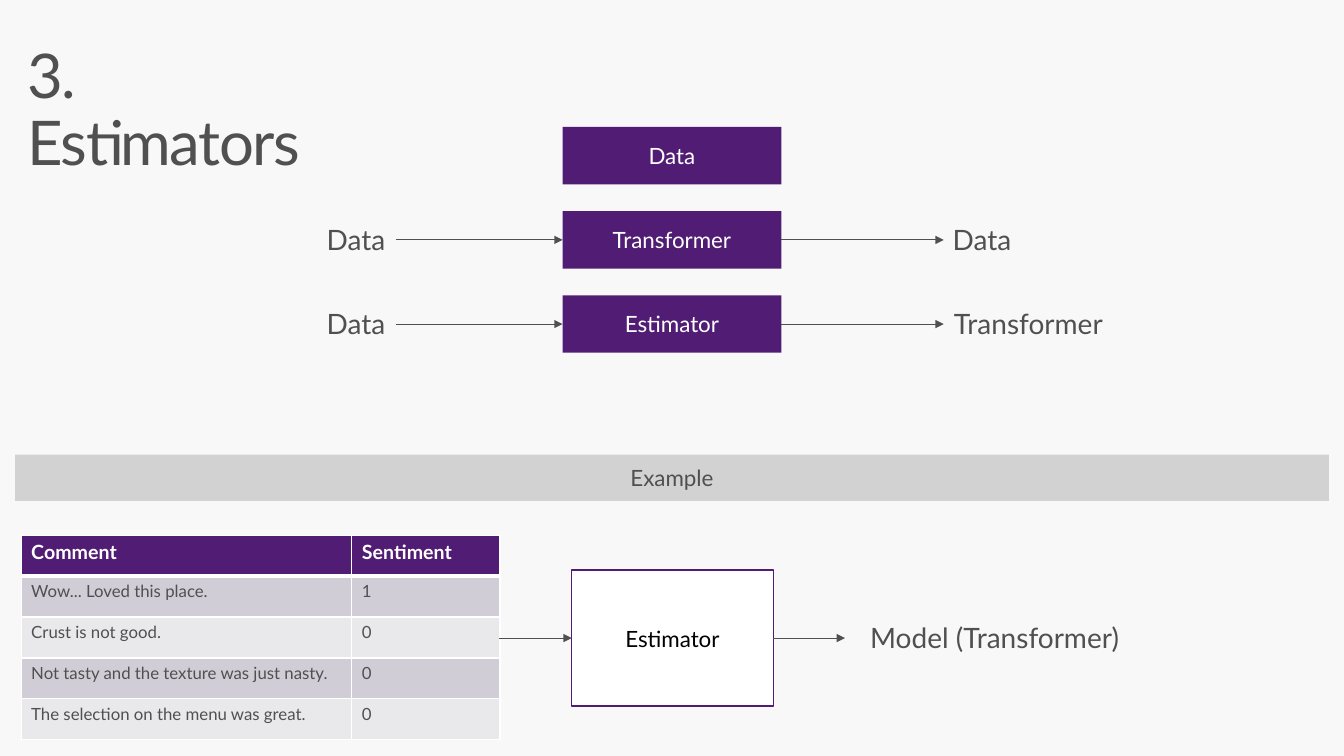
from dataclasses import dataclass

from lxml import etree
from pptx import Presentation
from pptx.dml.color import RGBColor
from pptx.enum.shapes import MSO_CONNECTOR, MSO_SHAPE
from pptx.enum.text import MSO_ANCHOR, MSO_AUTO_SIZE, PP_ALIGN
from pptx.oxml.ns import qn
from pptx.util import Inches, Pt

RECTANGLE = MSO_SHAPE.RECTANGLE
STRAIGHT = MSO_CONNECTOR.STRAIGHT
LEFT, CENTER = PP_ALIGN.LEFT, PP_ALIGN.CENTER
TOP, MIDDLE = MSO_ANCHOR.TOP, MSO_ANCHOR.MIDDLE
LEFT_SIDE, RIGHT_SIDE = 1, 3
TITLE_ONLY = 5
LABEL_HEIGHT = 0.34


@dataclass(frozen=True)
class Theme:
    font: str = "Lato"
    background: str = "F8F8F8"
    ink: str = "505050"
    accent: str = "511C74"
    white: str = "FFFFFF"
    black: str = "000000"
    banner: str = "D2D2D2"
    bands: tuple = ("D0CDD6", "E9E8EB")
    title_size: int = 44
    label_size: int = 20
    box_size: int = 16
    header_size: int = 14
    cell_size: int = 12


THEME = Theme()


def color(value):
    return RGBColor.from_string(value)


def write(para, text, size, ink, bold=False):
    span = para.add_run()
    span.text = text
    span.font.name = THEME.font
    span.font.size = Pt(size)
    span.font.bold = bold
    span.font.color.rgb = color(ink)
    return span


def set_margins(frame, across, down):
    frame.margin_left = frame.margin_right = Inches(across)
    frame.margin_top = frame.margin_bottom = Inches(down)


def add_box(page, box, text, fill, ink, outline=None):
    shape = page.shapes.add_shape(RECTANGLE, *map(Inches, box))
    shape.shadow.inherit = False
    shape.fill.solid()
    shape.fill.fore_color.rgb = color(fill)
    if outline:
        shape.line.color.rgb = color(outline)
        shape.line.width = Pt(0.85)
    else:
        shape.line.fill.background()
    frame = shape.text_frame
    set_margins(frame, 0, 0.05)
    frame.vertical_anchor = MIDDLE
    para = frame.paragraphs[0]
    para.alignment = CENTER
    write(para, text, THEME.box_size, ink)
    return shape


def add_label(page, left, middle, width, text, alignment=LEFT):
    """Place a one-line label centred vertically on middle."""
    box = (left, middle - LABEL_HEIGHT / 2, width, LABEL_HEIGHT)
    label = page.shapes.add_textbox(*map(Inches, box))
    frame = label.text_frame
    frame.word_wrap = True
    frame.auto_size = MSO_AUTO_SIZE.SHAPE_TO_FIT_TEXT
    set_margins(frame, 0, 0)
    para = frame.paragraphs[0]
    para.alignment = alignment
    write(para, text, THEME.label_size, THEME.ink)
    return label


def add_arrow(page, start, end, middle, source=None, target=None):
    """Draw a level arrow, joined to the source and target shapes if given."""
    arrow = page.shapes.add_connector(
        STRAIGHT, Inches(start), Inches(middle), Inches(end), Inches(middle))
    if source is not None:
        arrow.begin_connect(source, RIGHT_SIDE)
    if target is not None:
        arrow.end_connect(target, LEFT_SIDE)
    arrow.line.color.rgb = color(THEME.ink)
    arrow.line.width = Pt(0.75)
    line = arrow.line._get_or_add_ln()
    etree.SubElement(line, qn("a:tailEnd"), type="triangle")
    etree.SubElement(arrow._element.spPr, qn("a:effectLst"))


def add_title(page, box, text):
    title = page.shapes.title
    title.left, title.top, title.width, title.height = map(Inches, box)
    frame = title.text_frame
    frame.word_wrap = True
    frame.auto_size = MSO_AUTO_SIZE.NONE
    frame.vertical_anchor = TOP
    set_margins(frame, 0.2, 0.16)
    para = frame.paragraphs[0]
    para.alignment = LEFT
    para.line_spacing = 0.9
    para.space_before = Pt(0)
    span = write(para, text, THEME.title_size, THEME.ink)
    span.font._element.set("spc", "-100")


def add_concepts(page, box, concepts):
    """Stack the concepts; each has a name, an input and a sized output."""
    left, top, width, height = box
    box_left, box_width, box_height = left + 2.34, 2.17, 0.57
    output_left = left + 6.12
    pitch = (height - box_height) / (len(concepts) - 1)
    for index, (name, source, output, output_width) in enumerate(concepts):
        box_top = top + index * pitch
        middle = box_top + box_height / 2
        step = add_box(page, (box_left, box_top, box_width, box_height),
                       name, THEME.accent, THEME.white)
        if source:
            given = add_label(page, left, middle, 0.69, source)
            result = add_label(page, output_left, middle, output_width, output, CENTER)
            add_arrow(page, left + 0.69, box_left, middle, given, step)
            add_arrow(page, box_left + box_width, output_left, middle, step, result)


def set_borders(cell, bottom):
    properties = cell._tc.get_or_add_tcPr()
    for side, width in (("L", 1), ("R", 1), ("T", 1), ("B", bottom)):
        line = etree.SubElement(properties, qn("a:ln" + side), w=str(Pt(width)))
        fill = etree.SubElement(line, qn("a:solidFill"))
        etree.SubElement(fill, qn("a:srgbClr"), val=THEME.white)


def add_comments(page, box, rows):
    left, top, width, height = box
    frame = page.shapes.add_table(len(rows), 2, *map(Inches, box))
    table = frame.table
    table.columns[0].width = Inches(3.28)
    table.columns[1].width = Inches(width - 3.28)
    for index, row in enumerate(rows):
        table.rows[index].height = Inches(height / len(rows))
        header = index == 0
        fill = THEME.accent if header else THEME.bands[(index - 1) % 2]
        size = THEME.header_size if header else THEME.cell_size
        ink = THEME.white if header else THEME.ink
        for column, text in enumerate(row):
            cell = table.cell(index, column)
            set_borders(cell, 3 if header else 1)
            cell.fill.solid()
            cell.fill.fore_color.rgb = color(fill)
            write(cell.text_frame.paragraphs[0], text, size, ink, header)


def add_example(page, box, rows):
    left, top, width, height = box
    middle = top + 1.82
    add_box(page, (left, top, width, 0.46), "Example", THEME.banner, THEME.ink)
    add_comments(page, (left + 0.06, top + 0.8, 4.75, height - 0.8), rows)
    estimator = add_box(page, (left + 5.52, middle - 0.675, 2, 1.35), "Estimator",
                        THEME.white, THEME.black, THEME.accent)
    add_arrow(page, left + 4.8, left + 5.52, middle, target=estimator)
    add_arrow(page, left + 7.52, left + 8.23, middle, source=estimator)
    add_label(page, left + 8.48, middle, 2.74, "Model (Transformer)")


def main():
    deck = Presentation()
    deck.slide_width, deck.slide_height = Inches(13.33), Inches(7.5)
    page = deck.slides.add_slide(deck.slide_layouts[TITLE_ONLY])
    page.background.fill.solid()
    page.background.fill.fore_color.rgb = color(THEME.background)
    add_title(page, (0.07, 0.29, 3.49, 1.5), "3. Estimators")
    add_concepts(page, (3.24, 1.26, 7.8, 2.24), [
        ("Data", None, None, None),
        ("Transformer", "Data", "Data", 0.76),
        ("Estimator", "Data", "Transformer", 1.68),
    ])
    add_example(page, (0.15, 4.51, 13.03, 2.83), [
        ("Comment", "Sentiment"),
        ("Wow... Loved this place.", "1"),
        ("Crust is not good.", "0"),
        ("Not tasty and the texture was just nasty.", "0"),
        ("The selection on the menu was great.", "0"),
    ])
    deck.save("out.pptx")


if __name__ == "__main__":
    main()
